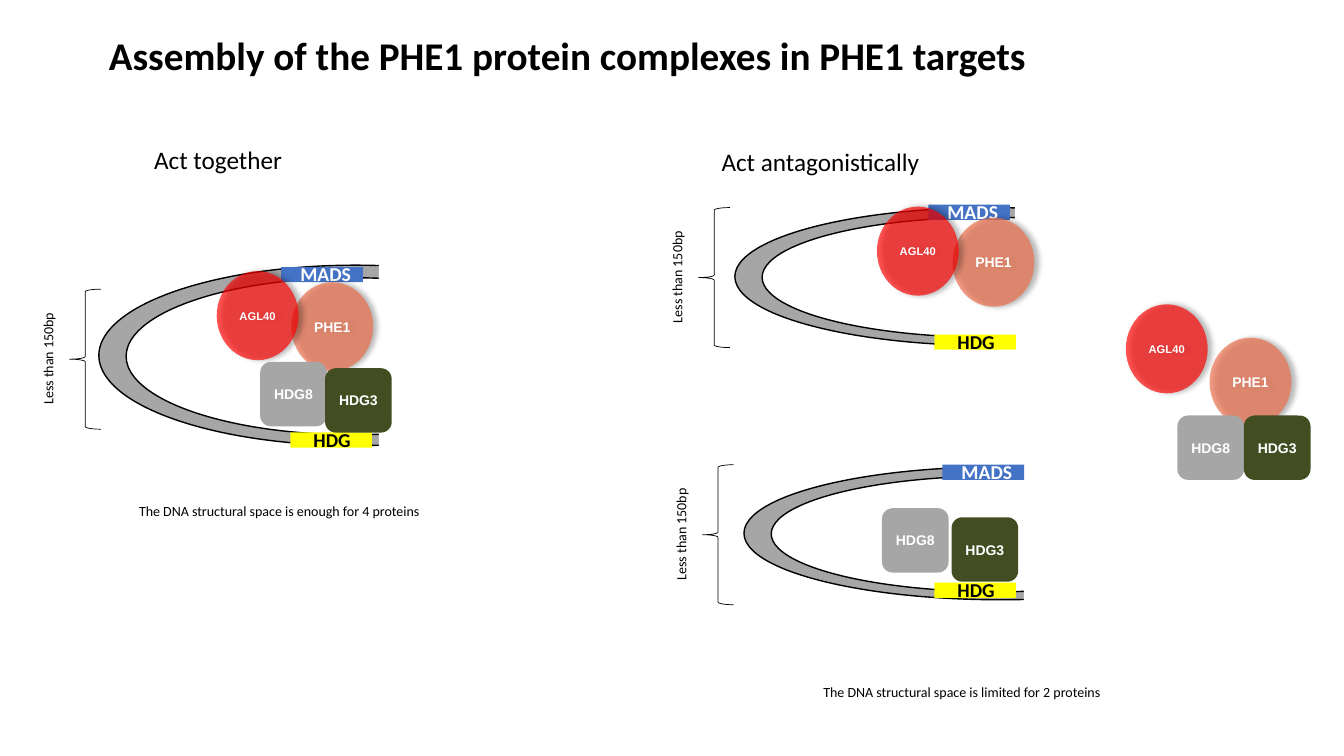
import pptx
import pptx.util
import pptx.dml.color
import pptx.enum.shapes
import pptx.enum.text
import pptx.oxml.ns
from lxml import etree

Pt = pptx.util.Pt
SHAPE = pptx.enum.shapes.MSO_SHAPE
ALIGN = pptx.enum.text.PP_ALIGN
ANCHOR = pptx.enum.text.MSO_ANCHOR
qn = pptx.oxml.ns.qn

COLORS = {
    "ink": "000000", "paper": "FFFFFF", "dna": "A6A6A6",
    "mads": "4472C4", "hdg": "FFFF00",
    "PHE1": "EE6E4B", "AGL40": "FF0000", "HDG8": "A6A6A6", "HDG3": "424D22",
}
# Opacity of the round proteins, in percent
OPACITY = {"PHE1": 68, "AGL40": 67}

LOOP_WIDTH = 366.5
SITE_SIZE = (58.3, 10.8)
ROUND_SIZE = (58.5, 63.6)
SQUARE_SIZE = (47.6, 46)


def rgb(name):
    return pptx.dml.color.RGBColor.from_string(COLORS[name])


def write(frame, text, size, font="Calibri", color="ink", bold=False, align=ALIGN.LEFT):
    frame.text = text
    paragraph = frame.paragraphs[0]
    paragraph.alignment = align
    paragraph.font.name = font
    paragraph.font.size = Pt(size)
    paragraph.font.bold = bold
    paragraph.font.color.rgb = rgb(color)
    return paragraph


def add_label(slide, text, left, top, width, height, size, color="ink", bold=False):
    label = slide.shapes.add_textbox(Pt(left), Pt(top), Pt(width), Pt(height))
    label.text_frame.word_wrap = True
    label.text_frame.auto_size = pptx.enum.text.MSO_AUTO_SIZE.SHAPE_TO_FIT_TEXT
    write(label.text_frame, text, size, color=color, bold=bold)
    return label


def add_outline(slide, kind, left, top, width, height, fill=None, line=None):
    outline = slide.shapes.add_shape(kind, Pt(left), Pt(top), Pt(width), Pt(height))
    if fill:
        outline.fill.solid()
        outline.fill.fore_color.rgb = rgb(fill)
    else:
        outline.fill.background()
    if line:
        outline.line.color.rgb = rgb("ink")
        outline.line.width = Pt(line)
    else:
        outline.line.fill.background()
    outline.shadow.inherit = False
    return outline


def set_alpha(color_element, percent):
    etree.SubElement(color_element, qn("a:alpha"), val=str(percent * 1000))


def add_soft_shadow(protein):
    effects = protein.element.spPr.find(qn("a:effectLst"))
    shadow = etree.SubElement(effects, qn("a:outerShdw"), blurRad=str(Pt(4)),
                              dist=str(Pt(3)), dir="0", rotWithShape="0")
    set_alpha(etree.SubElement(shadow, qn("a:srgbClr"), val=COLORS["ink"]), 40)


def add_protein(slide, name, left, top):
    is_round = name in OPACITY
    kind, size = (SHAPE.OVAL, ROUND_SIZE) if is_round else (SHAPE.ROUNDED_RECTANGLE, SQUARE_SIZE)
    protein = add_outline(slide, kind, left, top, *size, fill=name)
    if is_round:
        set_alpha(protein.element.spPr.find(qn("a:solidFill"))[0], OPACITY[name])
        add_soft_shadow(protein)
    frame = protein.text_frame
    frame.margin_left = frame.margin_right = 0
    frame.word_wrap = False
    frame.vertical_anchor = ANCHOR.MIDDLE
    write(frame, name, 8 if name == "AGL40" else 10, "Arial", "paper", True, ALIGN.CENTER)


def add_dna_loop(slide, left, top, height):
    """Two nested ellipses, with the right part covered to leave an open loop."""
    add_outline(slide, SHAPE.OVAL, left, top, LOOP_WIDTH, height, "dna", 1)
    add_outline(slide, SHAPE.OVAL, left + 19.5, top + 0.07 * height,
                324, 0.87 * height, "paper", 1)
    add_outline(slide, SHAPE.RECTANGLE, left + 200, top - 16, 208, height + 34, "paper")


def add_site(slide, name, left, top):
    add_outline(slide, SHAPE.RECTANGLE, left, top, *SITE_SIZE, fill=name.lower())
    indent, color = (6.5, "paper") if name == "MADS" else (9.4, "ink")
    add_label(slide, name, left + indent, top - 7, 58.3, 24.5, 14, color, True)


def add_span(slide, left, top):
    span_label = add_label(slide, "Less than 150bp", left - 58.3, top + 37, 85.7, 19.4, 10)
    span_label.rotation = 270
    add_outline(slide, SHAPE.LEFT_BRACE, left, top, 22.3, 100, line=0.5)


def add_title(slide, text):
    title = slide.shapes.title
    title.left, title.top, title.width, title.height = Pt(70.6), Pt(11.5), Pt(742.3), Pt(59.8)
    title.text_frame.vertical_anchor = ANCHOR.MIDDLE
    write(title.text_frame, text, 28, bold=True).line_spacing = 0.9


def main():
    deck = pptx.Presentation()
    deck.slide_width, deck.slide_height = Pt(960), Pt(540)
    slide = deck.slides.add_slide(deck.slide_layouts[5])
    add_title(slide, "Assembly of the PHE1 protein complexes in PHE1 targets")

    # DNA loops: left, top, height, then the MADS and HDG sites
    loops = [
        ((531.4, 333.4, 95), (673.2, 331.9), (667.4, 416.2)),
        ((70.6, 189.4, 128.9), (200.9, 190.8), (207.4, 308.9)),
        ((524.9, 148.3, 98.6), (663.1, 146.2), (667.4, 239)),
    ]
    for loop, mads, hdg in loops:
        add_dna_loop(slide, *loop)
        add_site(slide, "MADS", *mads)
        add_site(slide, "HDG", *hdg)

    # Proteins, from back to front
    proteins = [
        # All four on the left loop
        ("PHE1", 208.1, 201.6), ("AGL40", 154.8, 193.7),
        ("HDG8", 185.8, 258.5), ("HDG3", 232.2, 263),
        # Upper right loop
        ("PHE1", 680.4, 155.5), ("AGL40", 626.4, 147.6),
        # Lower right loop
        ("HDG8", 630, 363), ("HDG3", 679.7, 369.5),
        # Unbound complex
        ("PHE1", 864, 241.2), ("AGL40", 804.2, 217.4),
        ("HDG8", 841, 296.8), ("HDG3", 888.5, 296.8),
    ]
    for protein in proteins:
        add_protein(slide, *protein)

    # Headings and conclusions
    add_label(slide, "Act together", 103, 99.4, 113.8, 29, 18)
    add_label(slide, "Act antagonistically", 508.3, 100.8, 208, 29, 18)
    add_label(slide, "The DNA structural space is enough for 4 proteins",
              92.2, 355.7, 238.3, 19.4, 10)
    add_label(slide, "The DNA structural space is limited for 2 proteins",
              581, 484.6, 231.8, 19.4, 10)

    # Loop spans
    for span in [(49.7, 206.6), (499, 148.3), (501.8, 332)]:
        add_span(slide, *span)

    deck.save("out.pptx")


if __name__ == "__main__":
    main()
